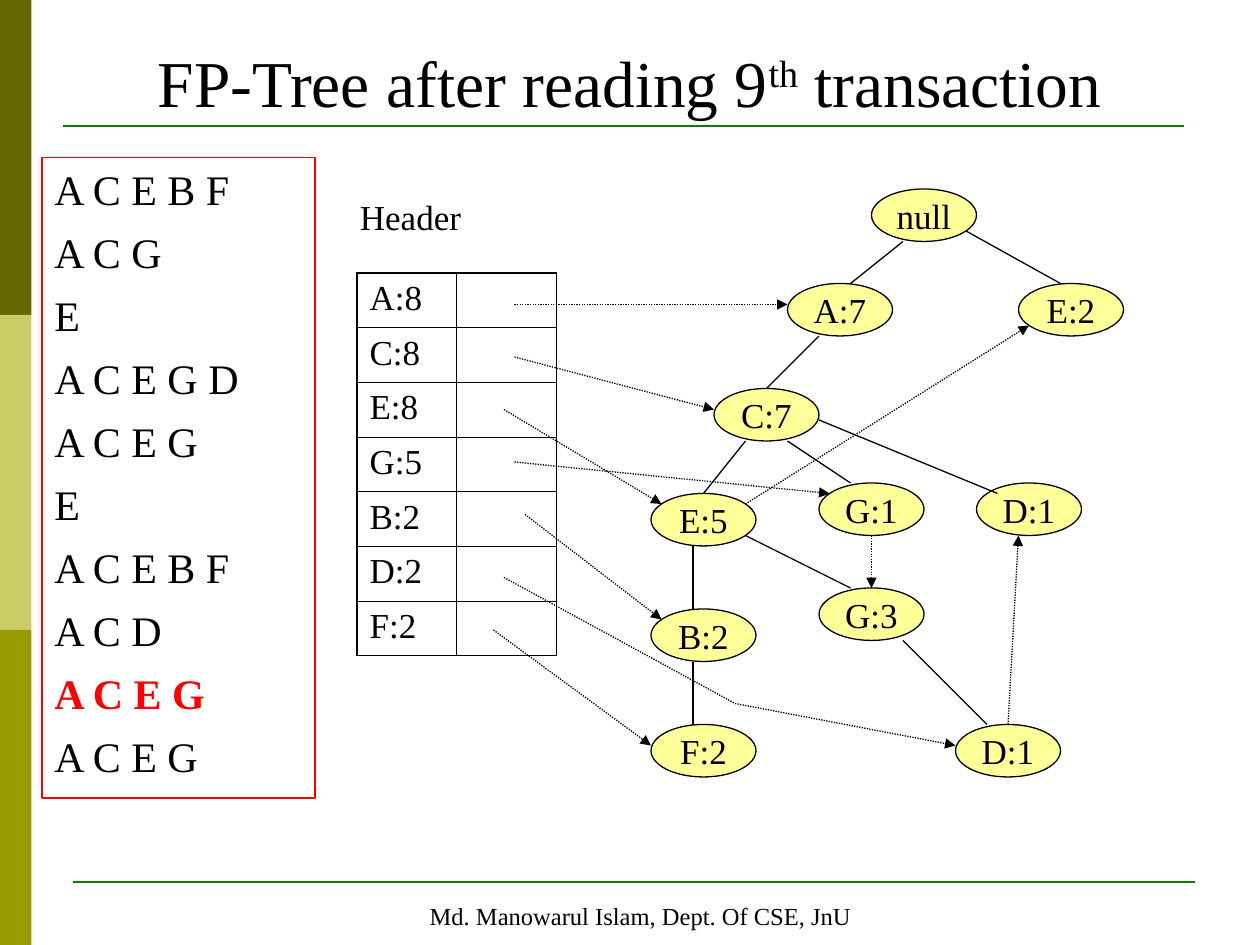
import lxml.etree
import pptx
import pptx.dml.color
import pptx.enum.dml
import pptx.enum.shapes
import pptx.enum.text
import pptx.oxml.ns
import pptx.util

GRID_STEP = 2.54 / 12
NODE_SIZE = (10, 5)

NODES = [
    ("G:1", 78, 46), ("null", 83, 18), ("A:7", 75, 27), ("C:7", 68, 37),
    ("E:5", 62, 47), ("B:2", 62, 58), ("F:2", 62, 69), ("E:2", 97, 27),
    ("G:3", 78, 56), ("D:1", 91, 69), ("D:1", 93, 46),
]
BRANCHES = [
    (75, 42, 81, 46), (86, 23, 81, 27), (78, 32, 73, 37), (71, 42, 67, 47),
    (66, 52, 66, 58), (66, 63, 66, 69), (92, 22, 101, 27), (71, 51, 81, 56),
    (86, 61, 94, 69), (78, 40, 95, 47),
]
POINTERS = [
    (47, 60, 62, 71), (48, 39, 63, 48), (49, 34, 68, 39), (49, 29, 75, 29),
    (50, 49, 63, 59), (71, 48, 98, 31), (49, 44, 79, 47), (83, 51, 83, 56),
    (70, 67, 91, 71), (96, 69, 97, 51),
]
TRANSACTIONS = [
    "A C E B F", "A C G", "E", "A C E G D", "A C E G",
    "E", "A C E B F", "A C D", "A C E G", "A C E G",
]
CURRENT_TRANSACTION = 8
HEADER_ITEMS = ["A:8", "C:8", "E:8", "G:5", "B:2", "D:2", "F:2"]


def color(value):
    return pptx.dml.color.RGBColor.from_string(value)


def grid(*values):
    return [pptx.util.Cm(value * GRID_STEP) for value in values]


def assign(target, formats):
    for name, value in formats.items():
        setattr(target, name, value)


class SlideBuilder:
    font_name = "Times New Roman"
    ink = "000000"
    center = pptx.enum.text.PP_ALIGN.CENTER
    middle = pptx.enum.text.MSO_ANCHOR.MIDDLE
    top = pptx.enum.text.MSO_ANCHOR.TOP

    def __init__(self, slide):
        self.slide = slide

    def add_text(self, paragraph, text, size, ink=None, bold=False):
        run = paragraph.add_run()
        run.text = text
        assign(run.font, {"name": self.font_name, "size": pptx.util.Pt(size), "bold": bold})
        run.font.color.rgb = color(ink or self.ink)
        return run

    def shape(self, kind, box, fill=None, line=None, width=0.75):
        shape = self.slide.shapes.add_shape(kind, *grid(*box))
        shape.shadow.inherit = False
        if fill:
            shape.fill.solid()
            shape.fill.fore_color.rgb = color(fill)
        else:
            shape.fill.background()
        if line:
            shape.line.color.rgb = color(line)
            shape.line.width = pptx.util.Pt(width)
        else:
            shape.line.fill.background()
        return shape

    def rectangle(self, box, **style):
        return self.shape(pptx.enum.shapes.MSO_SHAPE.RECTANGLE, box, **style)

    def node(self, text, left, top):
        shape = self.shape(pptx.enum.shapes.MSO_SHAPE.OVAL, (left, top, *NODE_SIZE),
                           fill="FFFF99", line=self.ink)
        assign(shape.text_frame, {"word_wrap": False, "vertical_anchor": self.middle})
        paragraph = shape.text_frame.paragraphs[0]
        paragraph.alignment = self.center
        self.add_text(paragraph, text, 20)

    def line(self, ends, ink=None, width=0.75, dotted=False, arrow=False):
        connector = self.slide.shapes.add_connector(
            pptx.enum.shapes.MSO_CONNECTOR.STRAIGHT, *grid(*ends))
        connector.line.color.rgb = color(ink or self.ink)
        connector.line.width = pptx.util.Pt(width)
        if dotted:
            connector.line.dash_style = pptx.enum.dml.MSO_LINE.ROUND_DOT
        properties = connector._element.spPr
        if arrow:
            outline = properties.find(pptx.oxml.ns.qn("a:ln"))
            lxml.etree.SubElement(outline, pptx.oxml.ns.qn("a:tailEnd"), type="triangle")
        lxml.etree.SubElement(properties, pptx.oxml.ns.qn("a:effectLst"))

    def text_box(self, box, **formats):
        frame = self.slide.shapes.add_textbox(*grid(*box)).text_frame
        assign(frame, formats)
        return frame.paragraphs[0]

    def transaction_list(self, box):
        frame = self.rectangle(box, line="FF0000").text_frame
        assign(frame, {"word_wrap": True, "vertical_anchor": self.top})
        for index, text in enumerate(TRANSACTIONS):
            paragraph = frame.add_paragraph() if index else frame.paragraphs[0]
            paragraph.alignment = pptx.enum.text.PP_ALIGN.LEFT
            if index:
                paragraph.space_before = pptx.util.Pt(7.2)
            current = index == CURRENT_TRANSACTION
            self.add_text(paragraph, text, 24, "FF0000" if current else None, current)

    def cell_borders(self, cell, outer_sides):
        properties = cell._tc.get_or_add_tcPr()
        for index, side in enumerate(("L", "R", "T", "B")):
            width = pptx.util.Pt(1.08 if side in outer_sides else 0.45)
            border = lxml.etree.Element(pptx.oxml.ns.qn("a:ln" + side), w=str(width))
            fill = lxml.etree.SubElement(border, pptx.oxml.ns.qn("a:solidFill"))
            lxml.etree.SubElement(fill, pptx.oxml.ns.qn("a:srgbClr"), val=self.ink)
            properties.insert(index, border)

    def header_table(self, box):
        last_row = len(HEADER_ITEMS) - 1
        table = self.slide.shapes.add_table(len(HEADER_ITEMS), 2, *grid(*box)).table
        assign(table, {"first_row": False, "horz_banding": False})
        for row, item in enumerate(HEADER_ITEMS):
            self.add_text(table.cell(row, 0).text_frame.paragraphs[0], item, 20)
            for column in range(2):
                cell = table.cell(row, column)
                cell.fill.background()
                outer_sides = "LR"[column] + {0: "T", last_row: "B"}.get(row, "")
                self.cell_borders(cell, outer_sides)


def main():
    presentation = pptx.Presentation()
    assign(presentation, {"slide_width": pptx.util.Cm(25.4), "slide_height": pptx.util.Cm(19.05)})
    builder = SlideBuilder(presentation.slides.add_slide(presentation.slide_layouts[6]))

    for index, fill in enumerate(("666600", "CCCC66", "999900")):
        builder.rectangle((0, 30 * index, 3, 30), fill=fill)

    footer = builder.rectangle((6, 85.2, 110, 4.2), fill="FFFFFF", line="FFFFFF", width=2)
    assign(footer.text_frame, {"word_wrap": False, "vertical_anchor": builder.top})
    footer.text_frame.paragraphs[0].alignment = builder.center
    builder.add_text(footer.text_frame.paragraphs[0], "Md. Manowarul Islam, Dept. Of CSE, JnU", 14)
    for left, top in ((7, 84), (6, 12)):
        builder.line((left, top, left + 106.8, top), ink="008000", width=1.5)

    builder.transaction_list((4, 15, 26, 61))
    title = builder.text_box((2, 3, 116, 9.4), word_wrap=True, vertical_anchor=builder.middle)
    title.alignment = builder.center
    builder.add_text(title, "FP-Tree after reading 9", 37.4)
    ordinal = builder.add_text(title, "th", 37.4)
    ordinal.font._element.set("baseline", "30000")
    builder.add_text(title, " transaction", 37.4)

    builder.add_text(builder.text_box((33.1, 18, 12, 5.3), word_wrap=False), "Header", 20)
    builder.header_table((34, 26, 19, 36.4))

    for node in NODES:
        builder.node(*node)
    for branch in BRANCHES:
        builder.line(branch)
    builder.line((48, 55, 70, 67), dotted=True)
    for pointer in POINTERS:
        builder.line(pointer, dotted=True, arrow=True)

    presentation.save("out.pptx")


if __name__ == "__main__":
    main()
